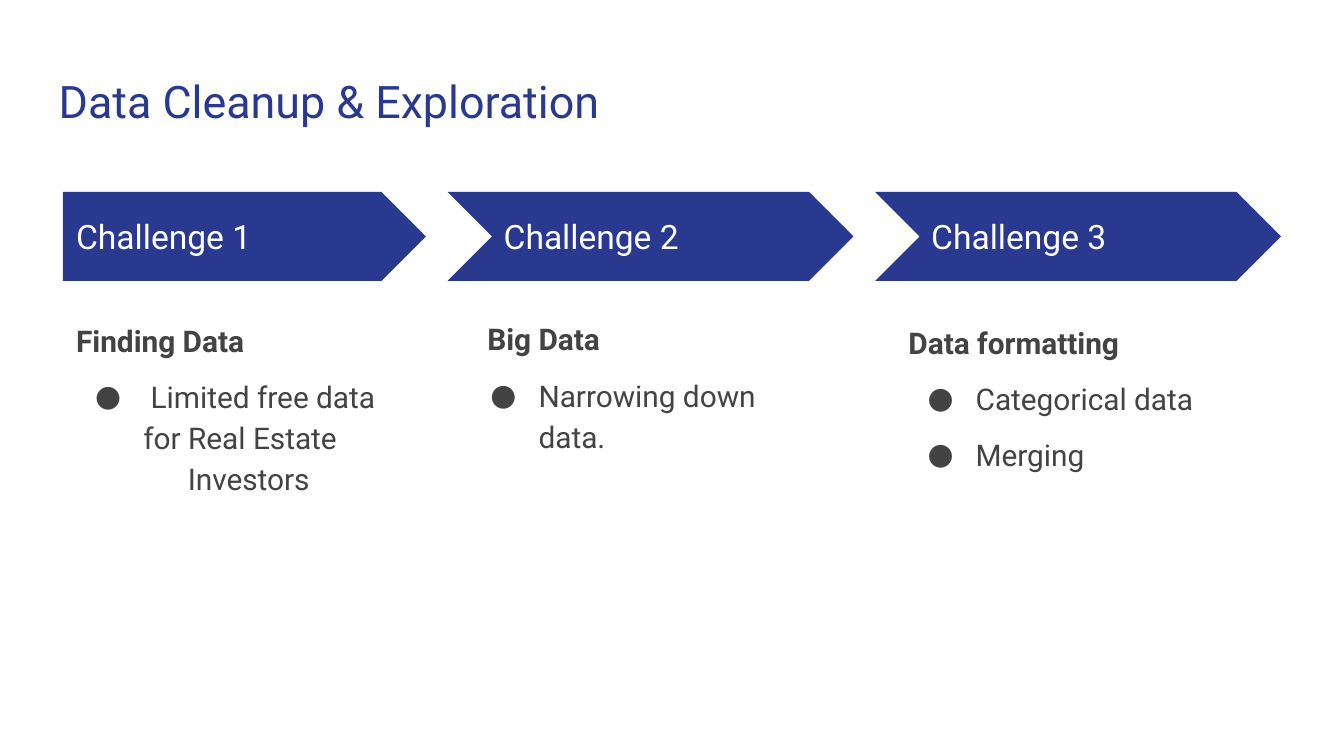
import dataclasses

import lxml.etree
import pptx
import pptx.dml.color
import pptx.enum.shapes
import pptx.enum.text
import pptx.oxml.ns
import pptx.util

Cm = pptx.util.Cm
Pt = pptx.util.Pt
qn = pptx.oxml.ns.qn
SHAPES = pptx.enum.shapes.MSO_SHAPE
ANCHORS = pptx.enum.text.MSO_ANCHOR


@dataclasses.dataclass
class Theme:
    font: str = "Roboto"
    navy: str = "2A3990"
    white: str = "FFFFFF"
    grey: str = "434343"
    title_size: int = 24
    challenge_size: int = 18
    detail_size: int = 16


theme = Theme()


def add_text(left, top, width, height, anchor=ANCHORS.TOP):
    frame = slide.shapes.add_textbox(Cm(left), Cm(top), Cm(width), Cm(height)).text_frame
    frame.word_wrap = True
    frame.vertical_anchor = anchor
    frame.margin_left = frame.margin_right = Cm(0.25)
    frame.margin_top = frame.margin_bottom = Cm(0.25)
    return frame


def style(paragraph, size, color, bold=False):
    for run in paragraph.runs:
        run.font.name = theme.font
        run.font.size = Pt(size)
        run.font.bold = bold
        run.font.color.rgb = pptx.dml.color.RGBColor.from_string(color)


deck = pptx.Presentation()
deck.slide_width = Cm(25.4)
deck.slide_height = Cm(14.29)
slide = deck.slides.add_slide(deck.slide_layouts[6])

title = add_text(0.86, 1.14, 23.67, 1.68)
title.text = "Data Cleanup & Exploration"
style(title.paragraphs[0], theme.title_size, theme.navy)

column_step = 8.08
first_tip = 8.05
arrows = [(SHAPES.PENTAGON, 6.86), (SHAPES.CHEVRON, 7.67), (SHAPES.CHEVRON, 7.67)]

for column, (outline, width) in enumerate(arrows):
    offset = column * column_step
    arrow = slide.shapes.add_shape(
        outline, Cm(first_tip + offset - width), Cm(3.63), Cm(width), Cm(1.68)
    )
    arrow.shadow.inherit = False
    arrow.fill.solid()
    arrow.fill.fore_color.rgb = pptx.dml.color.RGBColor.from_string(theme.navy)
    arrow.line.fill.background()

    challenge = add_text(1.19 + offset, 4.04, 6.27, 0.86, ANCHORS.MIDDLE)
    challenge.text = f"Challenge {column + 1}"
    style(challenge.paragraphs[0], theme.challenge_size, theme.white)

bullet_indent = 1.27
details = [
    (1.19, 5.74, 0, "Finding Data", [
        (" Limited free data for Real Estate", True, bullet_indent),
        ("Investors", False, 2.11),
    ]),
    (8.66, 5.72, 0.3, "Big Data", [("Narrowing down data.", True, bullet_indent)]),
    (16.92, 5.79, 0, "Data formatting", [
        ("Categorical data", True, bullet_indent),
        ("Merging", True, bullet_indent),
    ]),
]

for left, top, heading_indent, heading, points in details:
    detail = add_text(left, top, 6.86, 7.37)
    detail.text = heading
    topic = detail.paragraphs[0]
    topic.line_spacing = 1.15
    topic._p.get_or_add_pPr().set("marL", str(Cm(heading_indent)))
    style(topic, theme.detail_size, theme.grey, bold=True)

    for wording, bulleted, indent in points:
        point = detail.add_paragraph()
        point.text = wording
        point.line_spacing = 1.15
        point.space_before = Pt(8 if bulleted else 0)
        style(point, theme.detail_size, theme.grey)
        properties = point._p.get_or_add_pPr()
        properties.set("marL", str(Cm(indent)))
        if bulleted:
            properties.set("indent", str(Cm(-0.91)))
            bullet_color = lxml.etree.SubElement(properties, qn("a:buClr"))
            lxml.etree.SubElement(bullet_color, qn("a:srgbClr"), val=theme.grey)
            lxml.etree.SubElement(properties, qn("a:buFont"), typeface=theme.font)
            lxml.etree.SubElement(properties, qn("a:buChar"), char="●")

deck.save("out.pptx")
